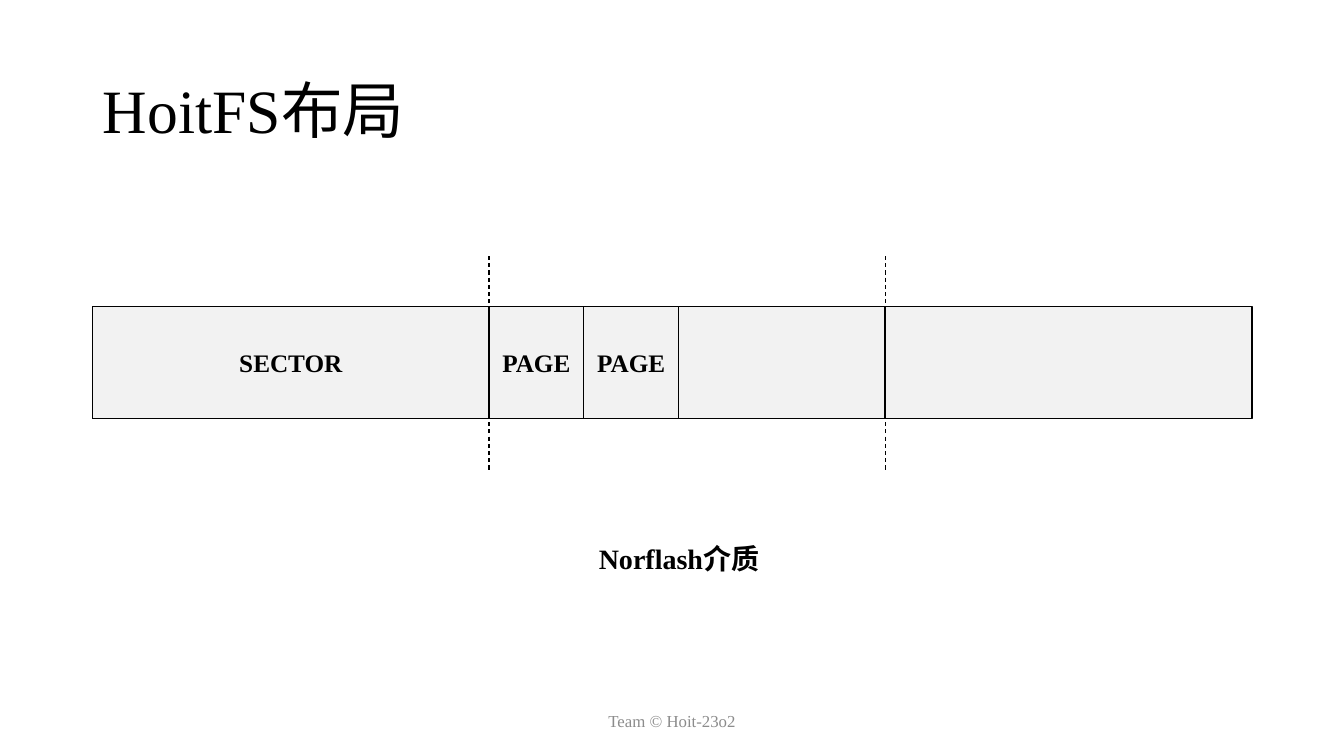
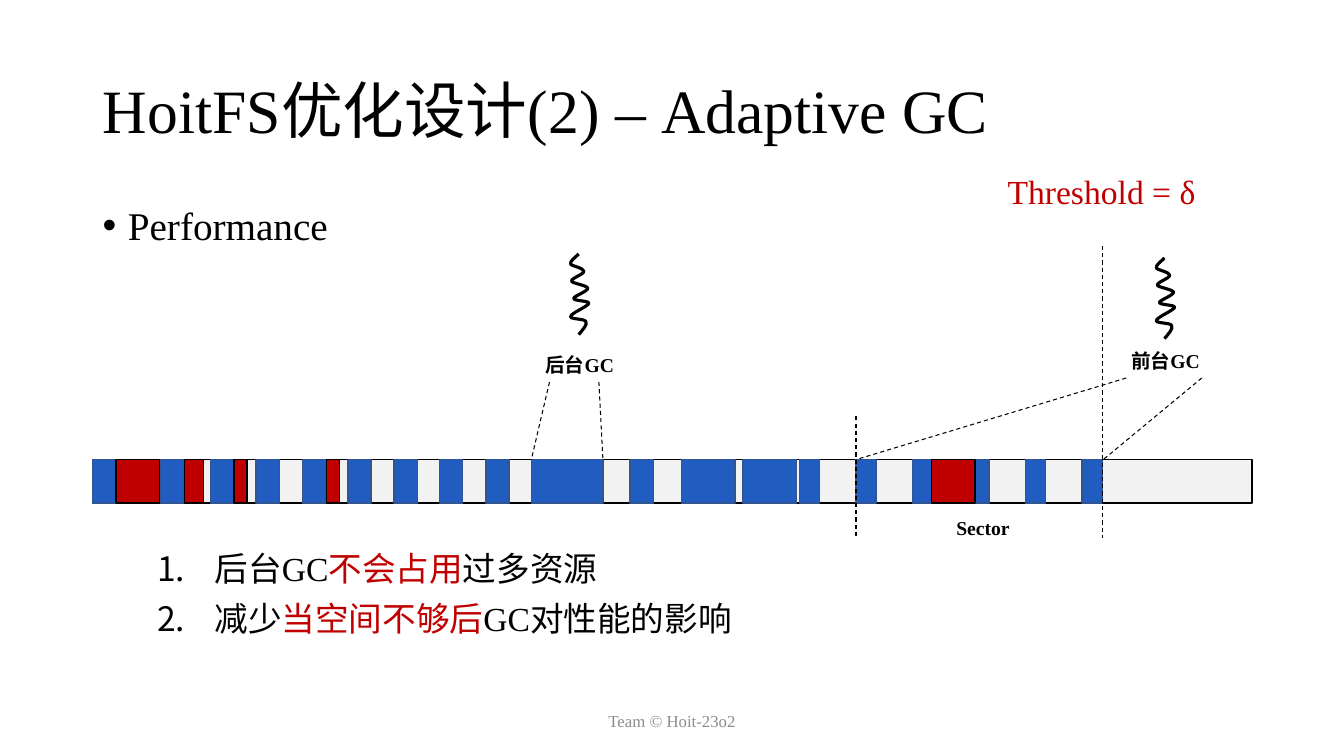
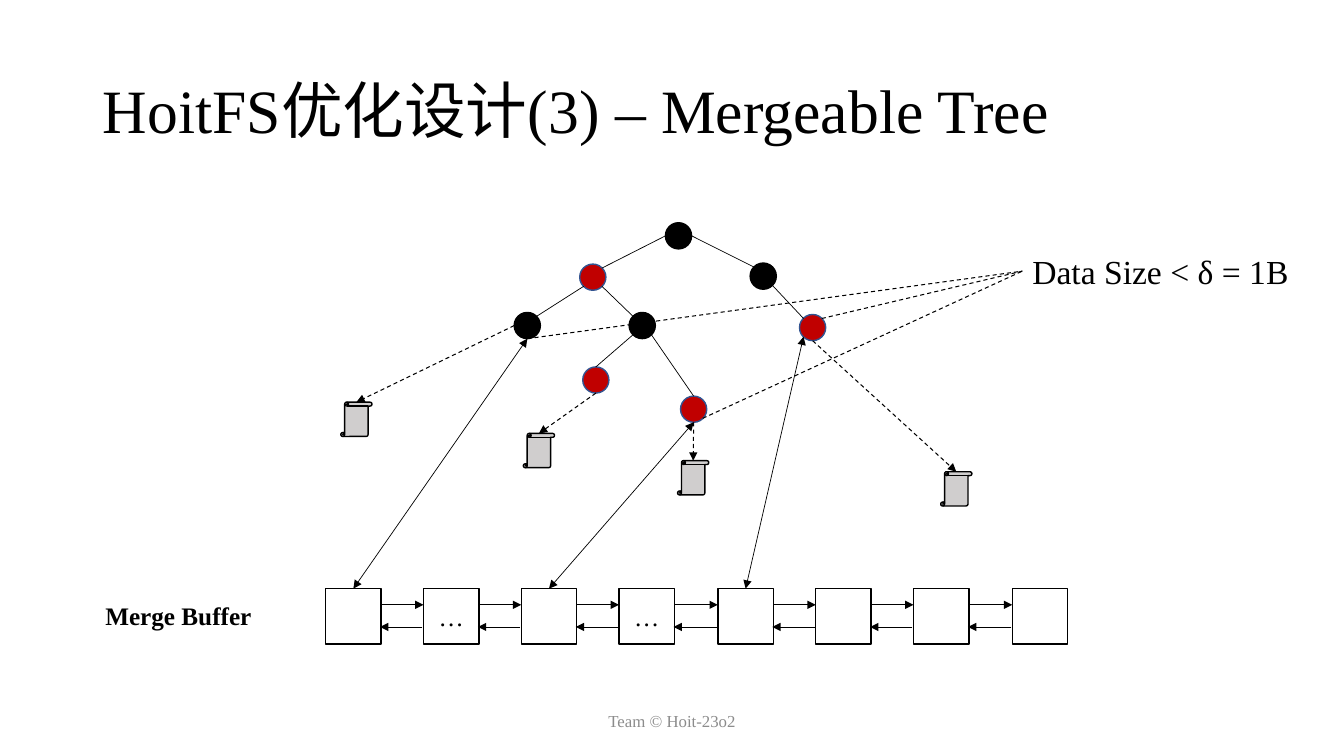
"""Build three slides on the layout, garbage collection and tree of a file system."""
from pptx import Presentation
from pptx.dml.color import RGBColor
from pptx.enum.dml import MSO_LINE
from pptx.enum.shapes import MSO_CONNECTOR, MSO_SHAPE
from pptx.enum.text import MSO_ANCHOR, MSO_AUTO_SIZE, PP_ALIGN
from pptx.oxml.ns import qn
from pptx.util import Pt

PX = 9144
FONT = "Times New Roman"
BLACK, WHITE, GREY, PALE = "000000", "FFFFFF", "8C8C8C", "F2F2F2"
RED, BLUE, NAVY, SILVER = "C00000", "215CC1", "325491", "D0CECE"
RECT, OVAL, SCROLL = MSO_SHAPE.RECTANGLE, MSO_SHAPE.OVAL, MSO_SHAPE.VERTICAL_SCROLL
LEFT, CENTER = PP_ALIGN.LEFT, PP_ALIGN.CENTER
TOP, MIDDLE = MSO_ANCHOR.TOP, MSO_ANCHOR.MIDDLE
NONE, DASH, STRAIGHT = MSO_AUTO_SIZE.NONE, MSO_LINE.DASH, MSO_CONNECTOR.STRAIGHT
color = RGBColor.from_string


def write(slide, box, text="", kind=None, fill=None, edge=BLACK, size=18, ink=BLACK,
          bold=False, align=CENTER, anchor=MIDDLE, lead=None, hang=0, mark=None):
    """Place a title, text box or filled shape; text between asterisks is red."""
    place = [n * PX for n in box]
    if kind == "title":
        shape = slide.shapes.title
        shape.left, shape.top, shape.width, shape.height = place
    elif kind is None:
        shape = slide.shapes.add_textbox(*place)
    else:
        shape = slide.shapes.add_shape(kind, *place)
        shape.shadow.inherit = False
        shape.fill.solid()
        shape.fill.fore_color.rgb = color(fill)
        shape.line.color.rgb = color(edge)
        shape.line.width = Pt(1)
    if not text:
        return shape
    frame = shape.text_frame
    frame.word_wrap = True
    frame.auto_size = NONE
    frame.vertical_anchor = anchor
    for row, words in enumerate(text.split("\n")):
        para = frame.add_paragraph() if row else frame.paragraphs[0]
        para.alignment = align
        if lead:
            para.line_spacing = lead
        if mark:
            para.space_before = Pt(10)
            props = para._p.get_or_add_pPr()
            props.set("marL", str(hang * PX))
            props.set("indent", str(-hang * PX))
            if mark == "1.":
                font = props.makeelement(qn("a:buFont"), {"typeface": "+mj-ea"})
                sign = props.makeelement(qn("a:buAutoNum"), {"type": "arabicPeriod"})
            else:
                font = props.makeelement(qn("a:buFont"), {"typeface": "Arial"})
                sign = props.makeelement(qn("a:buChar"), {"char": mark})
            props.extend([font, sign])
        for turn, part in enumerate(words.split("*")):
            if part:
                run = para.add_run()
                run.text = part
                run.font.name = FONT
                run.font.size = Pt(size)
                run.font.bold = bold
                run.font.color.rgb = color(RED if turn % 2 else ink)
    return shape


def link(slide, start, end, width=0.5, dash=False, ends=()):
    """Draw a line between two ends, each an (x, y) point or a (shape, site) joint."""
    line = slide.shapes.add_connector(STRAIGHT, 0, 0, 0, 0)
    if isinstance(start[0], int):
        line.begin_x, line.begin_y = [n * PX for n in start]
    else:
        line.begin_connect(*start)
    if isinstance(end[0], int):
        line.end_x, line.end_y = [n * PX for n in end]
    else:
        line.end_connect(*end)
    line.line.color.rgb = color(BLACK)
    line.line.width = Pt(width)
    if dash:
        line.line.dash_style = DASH
    props = line._element.spPr
    stroke = props.find(qn("a:ln"))
    for tip in ends:
        stroke.append(stroke.makeelement(qn("a:" + tip), {"type": "triangle"}))
    props.append(props.makeelement(qn("a:effectLst"), {}))


deck = Presentation()
deck.slide_width, deck.slide_height = 1333 * PX, 750 * PX
slides = []
for name in ("HoitFS布局", "HoitFS优化设计(2) – Adaptive GC", "HoitFS优化设计(3) – Mergeable Tree"):
    slide = deck.slides.add_slide(deck.slide_layouts[5])
    write(slide, (92, 40, 1150, 145), name, "title", size=44, align=LEFT, lead=0.9)
    write(slide, (442, 695, 449, 40), "Team © Hoit-23o2", size=12, ink=GREY)
    slides.append(slide)
flash, clean, tree = slides

write(flash, (575, 532, 197, 44), "Norflash介质", size=20, bold=True, anchor=TOP)
for x, wide, text in ((92, 1150, ""), (92, 393, "SECTOR"), (485, 393, ""),
                      (485, 94, "PAGE"), (579, 94, "PAGE")):
    write(flash, (x, 304, wide, 111), text, RECT, PALE, bold=True)
for x in (485, 878):
    link(flash, (x, 254), (x, 466), 0.75, dash=True)

write(clean, (92, 200, 1150, 60), "Performance", size=28, align=LEFT, anchor=TOP,
      lead=0.9, hang=25, mark="•")
write(clean, (92, 456, 1150, 43), "", RECT, PALE)
used = [(92, 23), (159, 23)] + [(209 + i * 91 // 2, 23) for i in range(7)]
used += [(527, 71), (625, 23), (676, 53), (737, 53)]
used += [(x, 20) for x in range(793, 1074, 56)]
stale = [(115, 43), (183, 19), (232, 13), (324, 13), (924, 43)]
for cells, fill, edge in ((used, BLUE, NAVY), (stale, RED, BLACK)):
    for x, wide in cells:
        write(clean, (x, 456, wide, 43), "", RECT, fill, edge)
write(clean, (146, 543, 1150, 164), "后台GC*不会占用*过多资源\n减少*当空间不够后*GC对性能的影响",
      size=24, align=LEFT, anchor=TOP, lead=0.9, hang=57, mark="1.")
for x, y, text in ((512, 345, "后台GC"), (1093, 341, "前台GC"), (912, 507, "Sector")):
    write(clean, (x, y, 126, 34), text, size=14, bold=True, anchor=TOP)
write(clean, (917, 165, 351, 50), "Threshold = δ", size=24, ink=RED, anchor=TOP)
for start, end in (((1093, 244), (1093, 534)), ((849, 413), (849, 534)),
                   ((1117, 375), (849, 456)), ((1192, 375), (1093, 457)),
                   ((545, 379), (527, 456)), ((594, 379), (598, 456))):
    link(clean, start, end, 0.75, dash=True)

wave = [(4, 4), (-1, 7), (0, 10), (1, 12), (13, 14), (13, 17), (14, 20), (0, 24), (1, 27),
        (1, 29), (16, 31), (17, 34), (17, 37), (3, 42), (3, 44), (3, 47), (18, 46), (18, 49),
        (17, 52), (0, 59), (0, 62), (-1, 65), (14, 64), (15, 67), (17, 70), (12, 75), (8, 80)]
for left, top in ((566, 252), (1147, 256)):
    pen = clean.shapes.build_freeform((left + 8) * PX, top * PX)
    pen.add_line_segments([((left + x) * PX, (top + y) * PX) for x, y in wave], close=False)
    thread = pen.convert_to_shape()
    thread.shadow.inherit = False
    thread.fill.background()
    thread.line.color.rgb = color(BLACK)
    thread.line.width = Pt(2.25)
    steps = list(thread._element.iter(qn("a:lnTo")))
    for i in range(0, len(steps), 3):
        bend = steps[i].makeelement(qn("a:cubicBezTo"), {})
        steps[i].addprevious(bend)
        for step in steps[i:i + 3]:
            bend.append(step[0])
            step.getparent().remove(step)

nodes = {"root": (673, 234, BLACK), "left": (588, 275, RED), "right": (757, 274, BLACK),
         "far": (806, 325, RED), "near": (523, 323, BLACK), "mid": (637, 323, BLACK),
         "low": (591, 377, RED), "tip": (688, 406, RED)}
sides = {"n": (0, -13), "s": (0, 13), "w": (-13, 0), "e": (13, 0),
         "nw": (-9, -9), "ne": (9, -9), "sw": (-9, 9), "se": (9, 9)}
ports = {}
for name, (x, y, fill) in nodes.items():
    write(tree, (x - 13, y - 13, 26, 26), "", OVAL, fill, NAVY if fill == RED else BLACK)
    for side, (dx, dy) in sides.items():
        ports[name, side] = (x + dx, y + dy)
for start, end in ((("root", "w"), ("left", "ne")), (("root", "e"), ("right", "nw")),
                   (("left", "se"), ("mid", "nw")), (("left", "sw"), ("near", "ne")),
                   (("mid", "se"), ("tip", "n")), (("mid", "sw"), ("low", "n")),
                   (("right", "se"), ("far", "nw"))):
    link(tree, ports[start], ports[end])
for port, x, y in ((("near", "w"), 338, 399), (("low", "s"), 519, 430),
                   (("tip", "s"), 672, 457), (("far", "s"), 933, 468)):
    page = write(tree, (x, y, 31, 34), "", SCROLL, SILVER)
    link(tree, ports[port], (page, 0), 0.75, dash=True, ends=["tailEnd"])

write(tree, (94, 591, 166, 40), "Merge Buffer", bold=True, anchor=TOP)
spots = [323 + i * 681 // 7 for i in range(8)]
slots = [write(tree, (x, 584, 55, 55), "…" if i in (1, 3) else "", RECT, WHITE)
         for i, x in enumerate(spots)]
for x, after in zip(spots, spots[1:]):
    link(tree, (x + 55, 600), (after, 600), ends=["tailEnd"])
    link(tree, (after - 1, 622), (x + 54, 622), ends=["tailEnd"])
for i, port in ((0, ("near", "s")), (2, ("tip", "s")), (4, ("far", "sw"))):
    link(tree, (slots[i], 0), ports[port], ends=["headEnd", "tailEnd"])
note = write(tree, (1014, 244, 281, 50), "Data Size < δ = 1B", size=24, align=LEFT, anchor=TOP)
for port in (("near", "s"), ("tip", "se"), ("far", "ne")):
    link(tree, ports[port], (note, 1), 0.75, dash=True)

deck.save("out.pptx")
